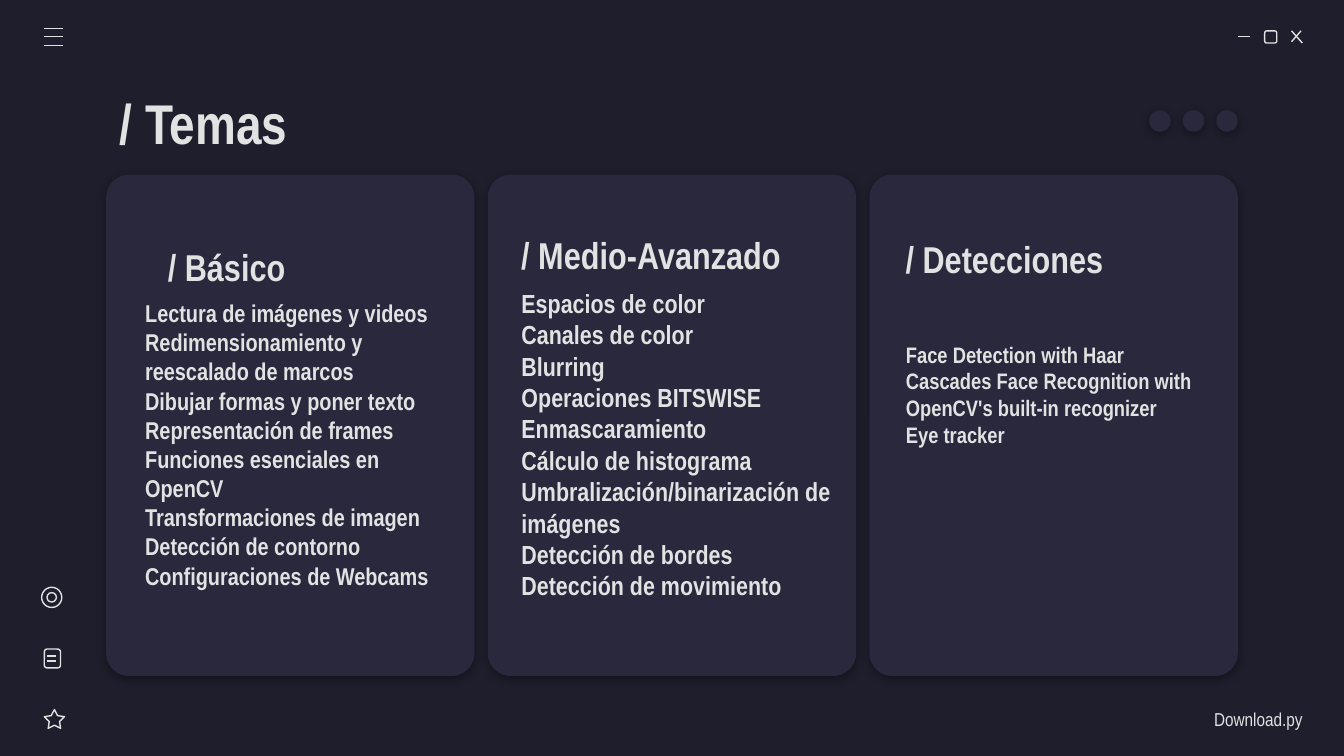
"""Build the course topics slide, laid out like an application window."""
import lxml.etree
import pptx
import pptx.dml.color
import pptx.enum.shapes
import pptx.enum.text
import pptx.oxml.ns
import pptx.util

Inches = pptx.util.Inches
Pt = pptx.util.Pt
SHAPE = pptx.enum.shapes.MSO_SHAPE
ALIGN = pptx.enum.text.PP_ALIGN
BACKGROUND = "1E1E2C"
PANEL = "29283D"
LIGHT = "E2E2E2"
FONT = "Arial Narrow"

BASIC = [
    "Lectura de imágenes y videos",
    "Redimensionamiento y reescalado de marcos",
    "Dibujar formas y poner texto",
    "Representación de frames",
    "Funciones esenciales en OpenCV",
    "Transformaciones de imagen",
    "Detección de contorno",
    "Configuraciones de Webcams",
]
ADVANCED = [
    "Espacios de color",
    "Canales de color",
    "Blurring",
    "Operaciones BITSWISE",
    "Enmascaramiento",
    "Cálculo de histograma",
    "Umbralización/binarización de imágenes",
    "Detección de bordes",
    "Detección de movimiento",
]
DETECTIONS = [
    "Face Detection with Haar Cascades Face Recognition with OpenCV's built-in recognizer",
    "Eye tracker",
]


def color(value):
    """Turn a hex string into a colour."""
    return pptx.dml.color.RGBColor.from_string(value)


def add_child(parent, tag, **attributes):
    """Append a DrawingML element to a parent and return it."""
    child = lxml.etree.SubElement(parent, pptx.oxml.ns.qn(tag))
    for name, value in attributes.items():
        child.set(name, str(value))
    return child


def add_panel(shapes, kind, left, top, width, height):
    """Add a filled shape with a soft shadow below it."""
    shape = shapes.add_shape(kind, Inches(left), Inches(top), Inches(width), Inches(height))
    shape.fill.solid()
    shape.fill.fore_color.rgb = color(PANEL)
    shape.line.fill.background()
    shape.shadow.inherit = False
    effects = shape._element.spPr.find(pptx.oxml.ns.qn("a:effectLst"))
    shadow = add_child(effects, "a:outerShdw", blurRad=Pt(4.5), dist=Pt(1.5),
                       dir=5400000, algn="bl", rotWithShape=0)
    shade = add_child(shadow, "a:srgbClr", val="000000")
    add_child(shade, "a:alpha", val=30000)
    return shape


def add_outline(shapes, kind, left, top, width, height):
    """Add an unfilled icon outline."""
    shape = shapes.add_shape(kind, Inches(left), Inches(top), Inches(width), Inches(height))
    shape.fill.background()
    shape.line.color.rgb = color(LIGHT)
    shape.line.width = Pt(0.75)
    shape.shadow.inherit = False
    return shape


def add_line(shapes, x1, y1, x2, y2):
    """Add a thin icon stroke."""
    line = shapes.add_connector(pptx.enum.shapes.MSO_CONNECTOR.STRAIGHT,
                                Inches(x1), Inches(y1), Inches(x2), Inches(y2))
    line.line.color.rgb = color(LIGHT)
    line.line.width = Pt(0.75)
    add_child(line._element.spPr, "a:effectLst")


def write_text(shape, box, lines, size, bold=True, align=ALIGN.LEFT, right_inset=0.1):
    """Place a text shape and fill it with one plain paragraph per line."""
    shape.left, shape.top, shape.width, shape.height = map(Inches, box)
    frame = shape.text_frame
    frame.word_wrap = True
    frame.auto_size = pptx.enum.text.MSO_AUTO_SIZE.NONE
    frame.vertical_anchor = pptx.enum.text.MSO_ANCHOR.MIDDLE
    frame.margin_left = frame.margin_top = frame.margin_bottom = Inches(0.1)
    frame.margin_right = Inches(right_inset)
    frame.text = "\n".join(lines)
    for paragraph in frame.paragraphs:
        paragraph.alignment = align
        paragraph.space_before = Pt(0)
        paragraph.font.name = FONT
        paragraph.font.size = Pt(size)
        paragraph.font.bold = bold
        paragraph.font.color.rgb = color(LIGHT)
        properties = paragraph._p.get_or_add_pPr()
        properties.set("marL", "0")
        properties.set("indent", "0")
        bullet = add_child(properties, "a:buNone")
        properties.find(pptx.oxml.ns.qn("a:defRPr")).addprevious(bullet)


def add_heading(shapes, box, text):
    """Add a column heading."""
    write_text(shapes.add_textbox(0, 0, 0, 0), box, [text], 20)


def add_window_buttons(shapes):
    """Draw the minimise, maximise and close buttons."""
    group = shapes.add_group_shape().shapes
    add_line(group, 9.21, 0.27, 9.3, 0.27)
    add_outline(group, SHAPE.ROUNDED_RECTANGLE, 9.41, 0.23, 0.09, 0.09)
    add_line(group, 9.61, 0.23, 9.69, 0.32)
    add_line(group, 9.68, 0.23, 9.61, 0.31)


def add_menu(shapes):
    """Draw the three-stroke menu icon."""
    group = shapes.add_group_shape().shapes
    for y in (0.21, 0.27, 0.34):
        add_line(group, 0.33, y, 0.47, y)


def add_sidebar(shapes):
    """Draw the star, note and ring icons."""
    group = shapes.add_group_shape().shapes
    star = add_outline(group, SHAPE.STAR_5_POINT, 0.33, 5.28, 0.15, 0.14)
    star.adjustments[0] = 0.254
    add_outline(group, SHAPE.ROUNDED_RECTANGLE, 0.33, 4.83, 0.12, 0.14)
    for y in (4.88, 4.92):
        add_line(group, 0.35, y, 0.42, y)
    add_outline(group, SHAPE.OVAL, 0.31, 4.37, 0.15, 0.15)
    add_outline(group, SHAPE.OVAL, 0.35, 4.41, 0.07, 0.07)


def add_dots(shapes):
    """Draw the row of three dots beside the title."""
    group = shapes.add_group_shape().shapes
    for index in range(3):
        add_panel(group, SHAPE.OVAL, 8.55 + 0.25 * index, 0.82, 0.16, 0.16)


def main():
    """Build and save the slide."""
    presentation = pptx.Presentation()
    presentation.slide_width = Inches(10)
    presentation.slide_height = Inches(10 * 9 / 16)
    slide = presentation.slides.add_slide(
        presentation.slide_layouts.get_by_name("Comparison"))
    slide.background.fill.solid()
    slide.background.fill.fore_color.rgb = color(BACKGROUND)
    shapes = slide.shapes
    title, basic, advanced, detections, footer = list(slide.placeholders)

    for index in range(3):
        card = add_panel(shapes, SHAPE.ROUNDED_RECTANGLE, 0.79 + 2.84 * index, 1.3, 2.74, 3.73)
        card.adjustments[0] = 0.062
    add_window_buttons(shapes)
    add_menu(shapes)
    add_sidebar(shapes)
    add_dots(shapes)

    write_text(title, (0.79, 0.59, 4.97, 0.63), ["/ Temas"], 30)
    write_text(basic, (0.98, 3.05, 2.38, 0.51), BASIC, 13)
    write_text(advanced, (3.78, 3.05, 2.6, 0.51), ADVANCED, 14)
    write_text(detections, (6.64, 2.68, 2.38, 0.51), DETECTIONS, 12)
    write_text(footer, (8.52, 5.2, 1.17, 0.3), ["Download.py"], 10,
               bold=False, align=ALIGN.RIGHT, right_inset=0)
    for placeholder in (title, basic, advanced, detections, footer):
        shapes._spTree.append(placeholder._element)

    add_heading(shapes, (1.15, 1.67, 1.78, 0.63), "/ Básico")
    add_heading(shapes, (3.78, 1.58, 2.47, 0.63), "/ Medio-Avanzado")
    add_heading(shapes, (6.64, 1.61, 2.47, 0.63), "/ Detecciones")
    presentation.save("out.pptx")


if __name__ == "__main__":
    main()
